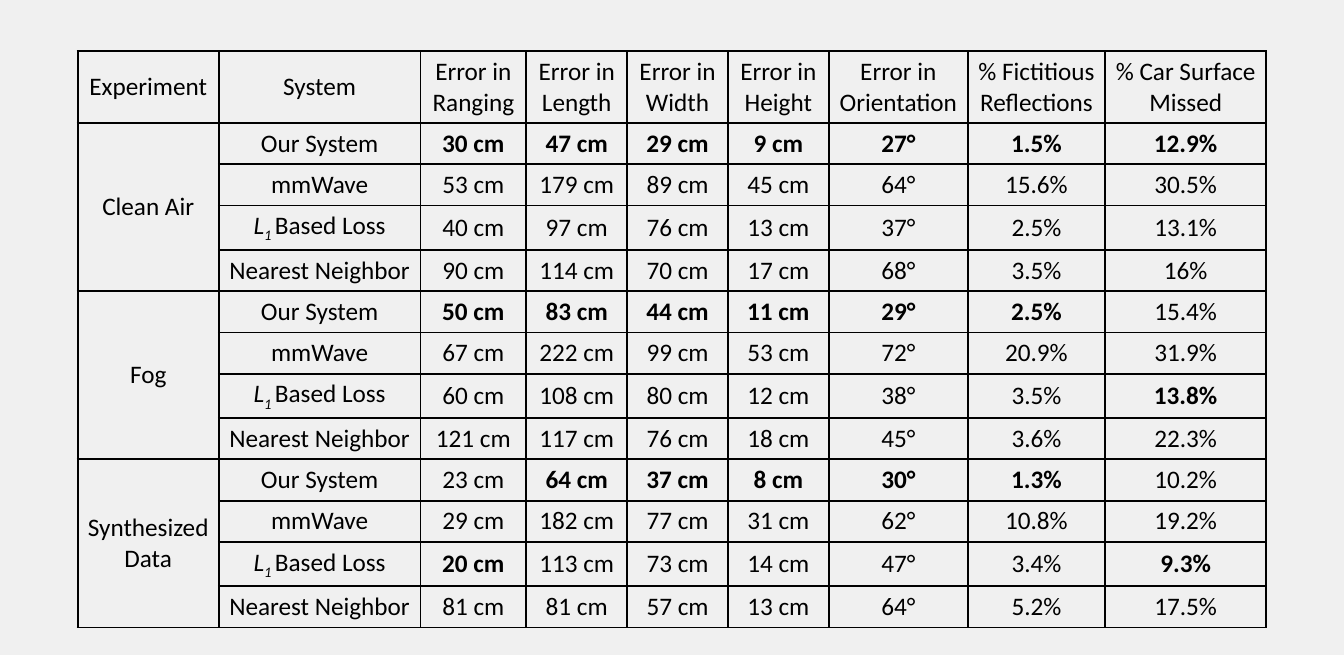
from dataclasses import dataclass
from typing import NamedTuple

from lxml.etree import SubElement
from pptx import Presentation
from pptx.dml.color import RGBColor
from pptx.enum.text import MSO_ANCHOR, PP_ALIGN
from pptx.oxml.ns import qn
from pptx.table import _Cell
from pptx.util import Inches, Pt

COLORS = {"background": "F0F0F0", "ink": "000000"}
COLUMN, ROW = Inches(1), Inches(0.41)
BORDER = Pt(1.5)


class Piece(NamedTuple):
    text: str
    bold: bool = False
    italic: bool = False
    baseline: int = 0


@dataclass(frozen=True)
class Field:
    heading: str
    columns: float
    unit: str = ""


@dataclass(frozen=True)
class Experiment:
    title: str
    errors: list[list[float]]


LABELS = [Field("Experiment", 1.4), Field("System", 2)]
METRICS = [
    Field("Error in Ranging", 1.05, " cm"),
    Field("Error in Length", 1, " cm"),
    Field("Error in \nWidth", 1, " cm"),
    Field("Error in \nHeight", 1, " cm"),
    Field("Error in Orientation", 1.38, "°"),
    Field("% Fictitious Reflections", 1.36, "%"),
    Field("% Car Surface Missed", 1.6, "%"),
]
FIELDS = LABELS + METRICS
SYSTEMS = [
    [Piece("Our System")],
    [Piece("mmWave")],
    [Piece("L", italic=True), Piece("1 ", italic=True, baseline=-25000), Piece("Based Loss")],
    [Piece("Nearest Neighbor")],
]
EXPERIMENTS = [
    Experiment("Clean Air", [
        [30, 47, 29, 9, 27, 1.5, 12.9],
        [53, 179, 89, 45, 64, 15.6, 30.5],
        [40, 97, 76, 13, 37, 2.5, 13.1],
        [90, 114, 70, 17, 68, 3.5, 16],
    ]),
    Experiment("Fog", [
        [50, 83, 44, 11, 29, 2.5, 15.4],
        [67, 222, 99, 53, 72, 20.9, 31.9],
        [60, 108, 80, 12, 38, 3.5, 13.8],
        [121, 117, 76, 18, 45, 3.6, 22.3],
    ]),
    Experiment("Synthesized\nData", [
        [23, 64, 37, 8, 30, 1.3, 10.2],
        [29, 182, 77, 31, 62, 10.8, 19.2],
        [20, 113, 73, 14, 47, 3.4, 9.3],
        [81, 81, 57, 13, 64, 5.2, 17.5],
    ]),
]


def frame(cell: _Cell) -> None:
    """Give a cell four solid borders and no fill."""
    properties = cell._tc.get_or_add_tcPr()
    for side in ("lnL", "lnR", "lnT", "lnB"):
        line = SubElement(properties, qn(f"a:{side}"), w=str(BORDER))
        solid = SubElement(line, qn("a:solidFill"))
        SubElement(solid, qn("a:srgbClr"), val=COLORS["ink"])
    cell.fill.background()


def write(cell: _Cell, *lines: list[Piece]) -> None:
    """Write centred lines into a cell, run by run."""
    cell.vertical_anchor = MSO_ANCHOR.MIDDLE
    for index, pieces in enumerate(lines):
        frame_text = cell.text_frame
        paragraph = frame_text.add_paragraph() if index else frame_text.paragraphs[0]
        paragraph.alignment = PP_ALIGN.CENTER
        for piece in pieces:
            run = paragraph.add_run()
            run.text = piece.text
            run.font.name, run.font.size = "Calibri", Pt(18)
            run.font.bold, run.font.italic = piece.bold, piece.italic
            run.font.color.rgb = RGBColor.from_string(COLORS["ink"])
            if piece.baseline:
                run._r.get_or_add_rPr().set("baseline", str(piece.baseline))


def split_lines(text: str) -> list[list[Piece]]:
    """Turn each line of a text into a list of one piece."""
    return [[Piece(line)] for line in text.split("\n")]


presentation = Presentation()
presentation.slide_width, presentation.slide_height = Inches(13.33), Inches(6.5)
slide = presentation.slides.add_slide(presentation.slide_layouts[6])
slide.background.fill.solid()
slide.background.fill.fore_color.rgb = RGBColor.from_string(COLORS["background"])

row_count = 1 + len(EXPERIMENTS) * len(SYSTEMS)
width = int(sum(field.columns for field in FIELDS) * COLUMN)
left = (presentation.slide_width - width) // 2
results = slide.shapes.add_table(
    row_count, len(FIELDS), left, Inches(0.51), width, row_count * ROW
).table
results.first_row = results.horz_banding = False

for results_row in results.rows:
    results_row.height = ROW
for column, field in enumerate(FIELDS):
    results.columns[column].width = int(field.columns * COLUMN)
    write(results.cell(0, column), *split_lines(field.heading))

for block, experiment in enumerate(EXPERIMENTS):
    top = 1 + block * len(SYSTEMS)
    title_cell = results.cell(top, 0)
    title_cell.merge(results.cell(top + len(SYSTEMS) - 1, 0))
    write(title_cell, *split_lines(experiment.title))
    lowest = [min(values) for values in zip(*experiment.errors)]
    for row, (system, errors) in enumerate(zip(SYSTEMS, experiment.errors), top):
        write(results.cell(row, 1), system)
        for column, (metric, error, best) in enumerate(zip(METRICS, errors, lowest), len(LABELS)):
            write(results.cell(row, column), [Piece(f"{error:g}{metric.unit}", bold=error == best)])

for cell in results.iter_cells():
    frame(cell)

presentation.save("out.pptx")
